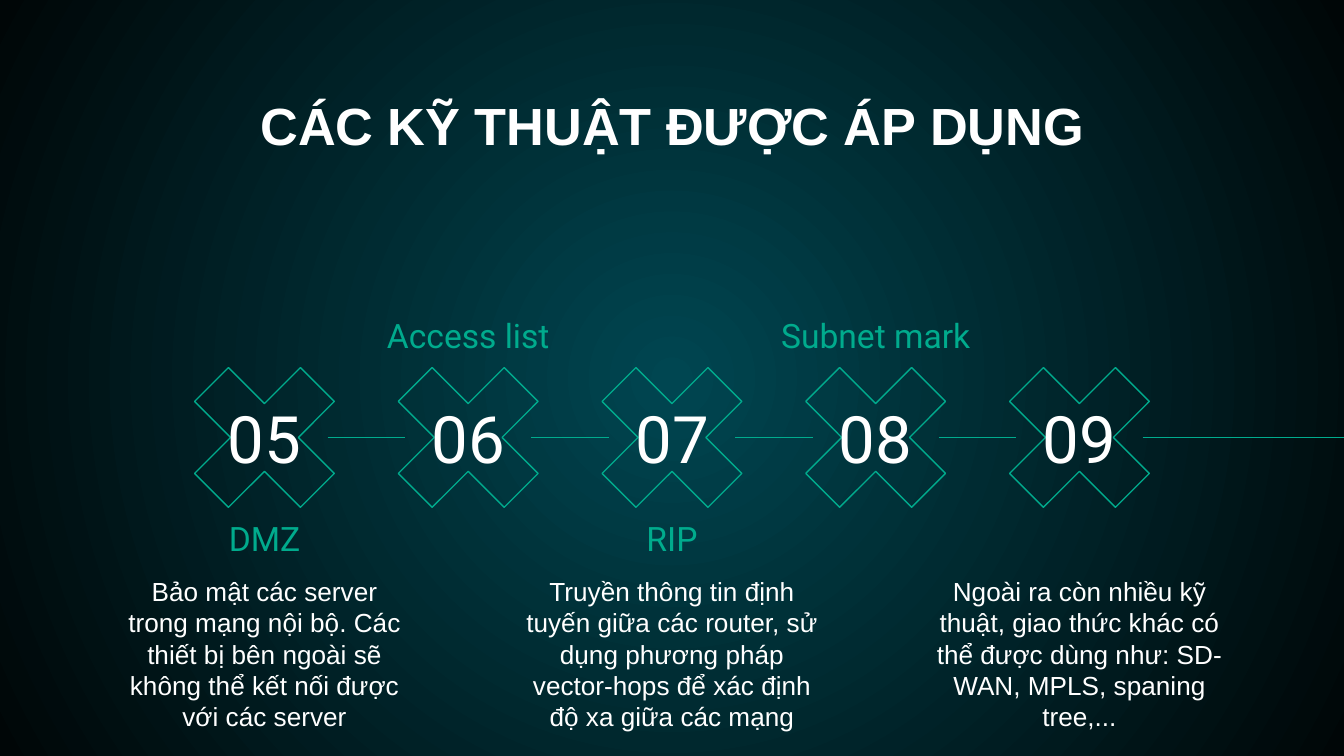
from lxml.etree import SubElement
from pptx import Presentation
from pptx.dml.color import RGBColor
from pptx.enum.shapes import MSO_CONNECTOR as Link, MSO_SHAPE as Kind
from pptx.enum.text import MSO_ANCHOR as Anchor, MSO_AUTO_SIZE as Fit, PP_ALIGN as Align
from pptx.oxml.ns import qn
from pptx.util import Pt

TITLE = "CÁC KỸ THUẬT ĐƯỢC ÁP DỤNG"
# number, label, label is above the cross, body paragraphs
STEPS = [
    ("05", "DMZ", False, [
        "Bảo mật các server",
        "trong mạng nội bộ. Các thiết bị bên ngoài sẽ không thể kết nối được với các server"]),
    ("06", "Access list", True, []),
    ("07", "RIP", False, [
        "Truyền thông tin định tuyến giữa các router, sử dụng phương pháp "
        "vector-hops để xác định độ xa giữa các mạng"]),
    ("08", "Subnet mark", True, []),
    ("09", "", False, [
        "Ngoài ra còn nhiều kỹ thuật, giao thức khác có thể được dùng như: "
        "SD-WAN, MPLS, spaning tree,..."]),
]

GREEN = RGBColor(0x00, 0xAB, 0x8D)
WHITE = RGBColor(0xFF, 0xFF, 0xFF)
TEAL = RGBColor(0x00, 0x46, 0x51)
DARK = RGBColor(0x00, 0x06, 0x07)

WIDE, HIGH = 720, 405
STEP, MID = 109.15, 234.4
CROSS = 109.2
NUM_W, NUM_H = 67.6, 35.2
TEXT_W, LABEL_H, BODY_H = 171.4, 29.5, 98
ABOVE, BELOW, BODY = 167.8, 276.5, 301

deck = Presentation()
deck.slide_width, deck.slide_height = Pt(WIDE), Pt(HIGH)
slide = deck.slides.add_slide(deck.slide_layouts[5])
shapes = slide.shapes


def paint():
    """Fill the background with a gradient that spreads from the centre."""
    fill = slide.background.fill
    fill.gradient()
    for stop, tint, pos in zip(fill.gradient_stops, (TEAL, DARK), (0, 1)):
        stop.color.rgb, stop.position = tint, pos
    grad = next(slide.element.iter(qn("a:gradFill")))
    grad.remove(grad.find(qn("a:lin")))
    ring = SubElement(grad, qn("a:path"), path="circle")
    SubElement(ring, qn("a:fillToRect"), l="50000", t="50000", r="50000", b="50000")


def write(shape, paras, size, font, tint, anchor=Anchor.TOP, bold=False):
    frame = shape.text_frame
    frame.word_wrap, frame.auto_size = True, Fit.NONE
    frame.vertical_anchor = anchor
    frame.margin_left = frame.margin_right = Pt(7.2)
    frame.margin_top = frame.margin_bottom = Pt(7.2)
    frame.text = "\n".join(paras)
    for para in frame.paragraphs:
        para.alignment = Align.CENTER
        para.font.size, para.font.name = Pt(size), font
        para.font.color.rgb, para.font.bold = tint, bold


def box(mid, top, wide, high):
    """Add a text box centred on the x position mid."""
    return shapes.add_textbox(Pt(mid - wide / 2), Pt(top), Pt(wide), Pt(high))


def cross(mid):
    mark = shapes.add_shape(Kind.MATH_MULTIPLY, Pt(mid - CROSS / 2),
                            Pt(MID - CROSS / 2), Pt(CROSS), Pt(CROSS))
    mark.adjustments[0] = 0.235
    mark.shadow.inherit = False
    mark.fill.background()
    mark.line.color.rgb, mark.line.width = GREEN, Pt(0.75)


def join(start, end=None):
    """Link two number boxes, or run from the last one to the slide edge."""
    line = shapes.add_connector(Link.STRAIGHT, start.left + start.width, Pt(MID),
                                Pt(WIDE), Pt(MID))
    line.begin_connect(start, 3)
    if end is not None:
        line.end_connect(end, 1)
    line.line.color.rgb, line.line.width = GREEN, Pt(0.75)
    SubElement(line.element.spPr, qn("a:effectLst"))


paint()
title = shapes.title
title.left, title.top, title.width, title.height = Pt(56.2), Pt(42.5), Pt(607.6), Pt(45.4)
write(title, [TITLE], 28, "Arial", WHITE, bold=True)

nums = []
for i, (num, label, above, body) in enumerate(STEPS):
    mid = WIDE / 2 + (i - (len(STEPS) - 1) / 2) * STEP
    cross(mid)
    if label:
        write(box(mid, ABOVE if above else BELOW, TEXT_W, LABEL_H),
              [label], 18, "Roboto", GREEN, Anchor.BOTTOM)
    if body:
        write(box(mid, BODY, TEXT_W, BODY_H), body, 14, "Arial", WHITE)
    nums.append(box(mid, MID - NUM_H / 2, NUM_W, NUM_H))
    write(nums[-1], [num], 35, "Roboto", WHITE, Anchor.MIDDLE)

for start, end in zip(nums, nums[1:] + [None]):
    join(start, end)

deck.save("out.pptx")
